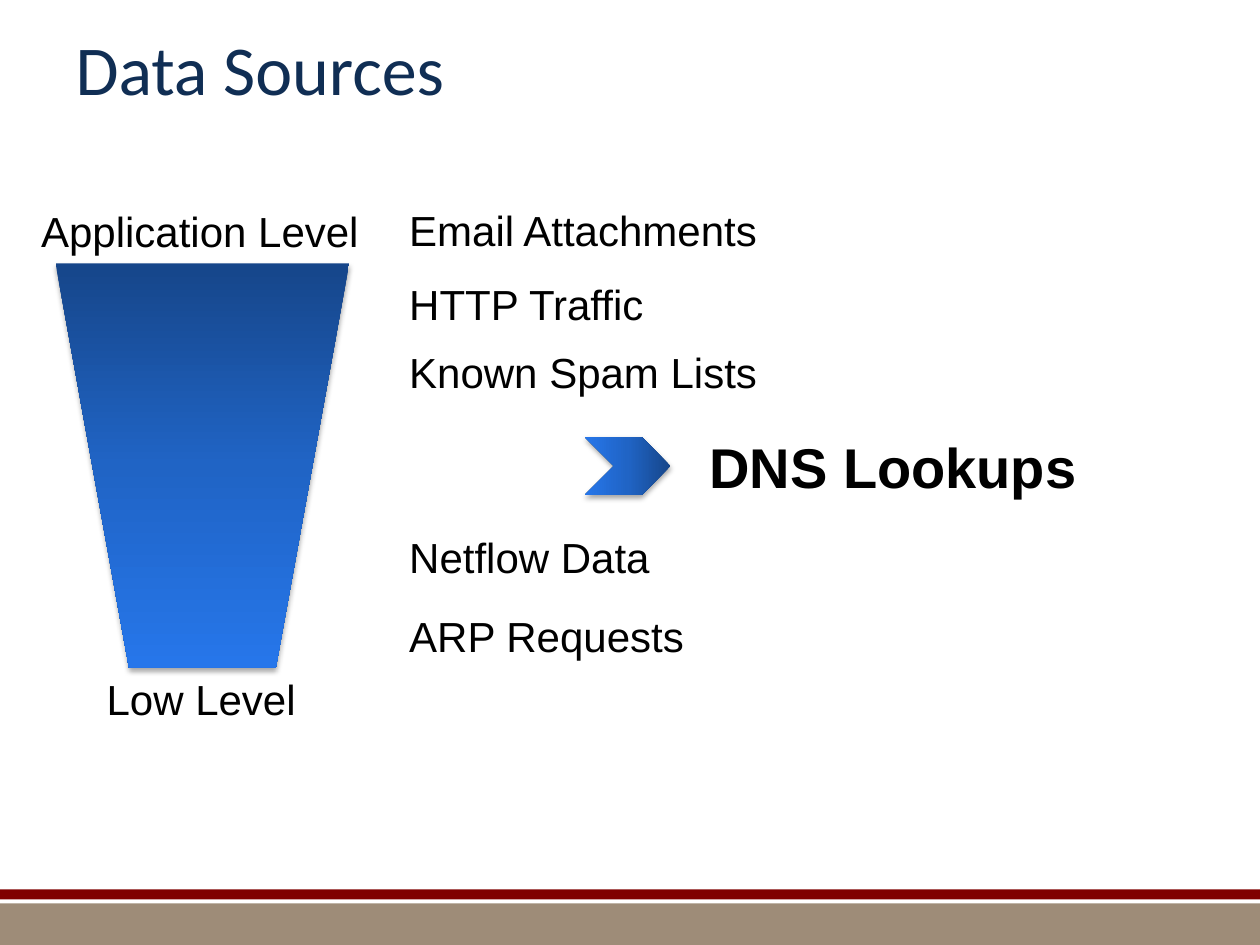
from lxml.etree import SubElement
from pptx import Presentation
from pptx.dml.color import RGBColor
from pptx.enum.shapes import MSO_SHAPE
from pptx.enum.text import MSO_ANCHOR, MSO_AUTO_SIZE, PP_ALIGN
from pptx.oxml import parse_xml
from pptx.oxml.ns import nsdecls, qn
from pptx.util import Cm, Pt

NAVY = RGBColor(0x10, 0x2E, 0x54)
BLACK = RGBColor(0x00, 0x00, 0x00)
TAUPE = RGBColor(0x9E, 0x8C, 0x78)
MAROON = RGBColor(0x80, 0x00, 0x00)
BLUE_STOPS = {
    0: RGBColor(0x16, 0x46, 0x8A),
    50: RGBColor(0x20, 0x64, 0xC5),
    100: RGBColor(0x26, 0x76, 0xEA),
}


class SlideBuilder:
    """Holds the style and the current slide, and adds each kind of element."""

    title_format = {"name": "Calibri", "size": Pt(40), "bold": False}
    label_format = {"name": "Arial", "size": Pt(24), "bold": False}
    accent_format = {"name": "Arial", "size": Pt(32), "bold": True}

    def __init__(self, deck):
        self.page = deck.slides.add_slide(deck.slide_layouts[5])

    def add_text(self, frame, text, text_format, color):
        para = frame.paragraphs[0]
        para.alignment = PP_ALIGN.LEFT
        span = para.add_run()
        span.text = text
        for name, value in text_format.items():
            setattr(span.font, name, value)
        span.font.color.rgb = color

    def title(self, text, left, top, width, height):
        box = self.page.shapes.title
        place = {"left": left, "top": top, "width": width, "height": height}
        for name, value in place.items():
            setattr(box, name, Cm(value))
        box.text_frame.vertical_anchor = MSO_ANCHOR.MIDDLE
        self.add_text(box.text_frame, text, self.title_format, NAVY)

    def label(self, text, left, top, width, height=1.27, text_format=None):
        box = self.page.shapes.add_textbox(Cm(left), Cm(top), Cm(width), Cm(height))
        box.text_frame.word_wrap = False
        box.text_frame.auto_size = MSO_AUTO_SIZE.SHAPE_TO_FIT_TEXT
        self.add_text(box.text_frame, text, text_format or self.label_format, BLACK)

    def shape(self, kind, left, top, width, height):
        shape = self.page.shapes.add_shape(
            kind, Cm(left), Cm(top), Cm(width), Cm(height))
        shape.shadow.inherit = False
        shape.line.fill.background()
        return shape

    def bar(self, top, height, color):
        bar = self.shape(MSO_SHAPE.RECTANGLE, 0, top, 25.4, height)
        bar.fill.solid()
        bar.fill.fore_color.rgb = color

    def blue_shape(self, kind, left, top, width, height, angle, rotation=0):
        shape = self.shape(kind, left, top, width, height)
        shape.rotation = rotation
        stops = "".join(
            f'<a:gs pos="{position * 1000}"><a:srgbClr val="{color}"/></a:gs>'
            for position, color in BLUE_STOPS.items())
        properties = shape.element.spPr
        properties.find(qn("a:ln")).addprevious(parse_xml(
            f'<a:gradFill {nsdecls("a")} rotWithShape="1"><a:gsLst>{stops}</a:gsLst>'
            f'<a:lin ang="{angle * 60000}" scaled="0"/></a:gradFill>'))
        shadow = SubElement(
            properties.find(qn("a:effectLst")), qn("a:outerShdw"),
            blurRad=str(Pt(3.1)), dist=str(Pt(1.8)), dir="5400000", rotWithShape="0")
        color = SubElement(shadow, qn("a:srgbClr"), val=str(BLACK))
        SubElement(color, qn("a:alpha"), val="35000")


deck = Presentation()
deck.slide_width, deck.slide_height = Cm(25.4), Cm(19.05)
slide = SlideBuilder(deck)

slide.bar(18.21, 0.84, TAUPE)
slide.bar(17.93, 0.2, MAROON)
slide.title("Data Sources", 1.27, 0, 22.86, 2.74)

slide.label("Application Level", 0.58, 4.02, 6.99)
slide.blue_shape(MSO_SHAPE.TRAPEZOID, 1.12, 5.31, 5.92, 8.15, angle=270, rotation=180)
slide.label("Low Level", 1.9, 13.46, 4.37)

SOURCES = [
    ("Email Attachments", 3.99, 7.59),
    ("HTTP Traffic", 5.49, 5.28),
    ("Known Spam Lists", 6.86, 7.59),
    ("Netflow Data", 10.59, 5.41),
    ("ARP Requests", 12.19, 6.1),
]
for source, top, width in SOURCES:
    slide.label(source, 8, top, width)

slide.blue_shape(MSO_SHAPE.CHEVRON, 11.79, 8.81, 1.73, 1.17, angle=180)
slide.label("DNS Lookups", 14.05, 8.59, 7.98, 1.63, SlideBuilder.accent_format)

deck.save("out.pptx")
